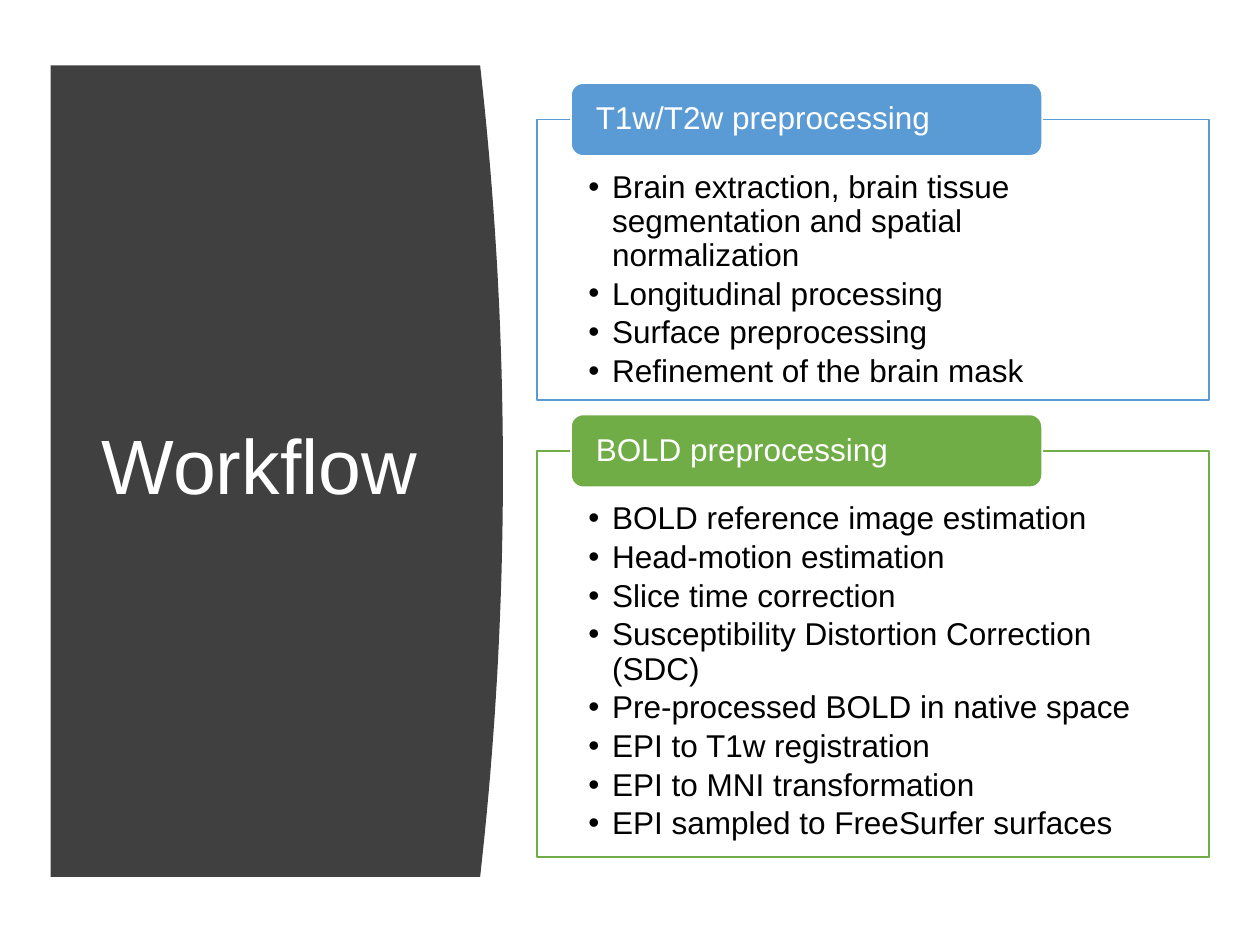
"""Build the Workflow slide: a curved title panel beside two framed lists."""
from dataclasses import dataclass

from lxml.etree import SubElement as Sub
from pptx import Presentation as Deck
from pptx.dml.color import RGBColor as Rgb
from pptx.enum.shapes import MSO_SHAPE as Kind
from pptx.enum.text import MSO_ANCHOR as Anchor, MSO_AUTO_SIZE as Fit, PP_ALIGN as Align
from pptx.oxml.ns import qn
from pptx.util import Cm, Pt


@dataclass(frozen=True)
class Theme:
    """Colours, font and type sizes."""
    dark: str = "404040"
    white: str = "FFFFFF"
    black: str = "000000"
    blue: str = "5B9BD5"
    green: str = "70AD47"
    font: str = "Arial"
    head: int = 44
    text: int = 18


def write(shape, lines, size, color, font, anchor=Anchor.MIDDLE, pad=None, after=0, hang=0):
    """Fill a shape with paragraphs, bulleted when a hanging indent is given."""
    frame = shape.text_frame
    frame.text = "\n".join(lines)
    frame.word_wrap, frame.auto_size = True, Fit.NONE
    frame.vertical_anchor = anchor
    if pad:
        (frame.margin_left, frame.margin_top,
         frame.margin_right, frame.margin_bottom) = map(Cm, pad)
    for para in frame.paragraphs:
        if hang:
            props = para._p.get_or_add_pPr()
            props.set("marL", str(Cm(hang)))
            props.set("indent", str(-Cm(hang)))
            Sub(props, qn("a:buFont"), typeface=font)
            Sub(props, qn("a:buChar"), char="•")
        para.alignment, para.line_spacing = Align.LEFT, 0.9
        para.space_before, para.space_after = Pt(0), Pt(after)
        para.font.name, para.font.size = font, Pt(size)
        para.font.color.rgb = Rgb.from_string(color)


class Page:
    """Holds the theme and the current slide."""

    def __init__(self, slide, theme):
        """Keep the slide and its style."""
        self.slide, self.theme = slide, theme

    def place(self, shape, left, top, width, height):
        """Move and size a shape in centimetres."""
        shape.left, shape.top = Cm(left), Cm(top)
        shape.width, shape.height = Cm(width), Cm(height)

    def paint(self, shape, fill, line=None):
        """Set a plain fill and a thin line or none."""
        shape.fill.solid()
        shape.fill.fore_color.rgb = Rgb.from_string(fill)
        if line:
            shape.line.color.rgb = Rgb.from_string(line)
            shape.line.width = Pt(1)
        else:
            shape.line.fill.background()

    def panel(self, left, top, width, height, bulge, steps=40):
        """Draw the dark panel with a bowed right edge behind all else."""
        edge = [(Cm(left + width + 4 * bulge * t * (1 - t)), Cm(top + height * t))
                for t in (i / steps for i in range(steps + 1))]
        tree = self.slide.shapes
        path = tree.build_freeform(Cm(left), Cm(top))
        path.add_line_segments(edge + [(Cm(left), Cm(top + height))], close=True)
        shape = path.convert_to_shape()
        shape.shadow.inherit = False
        self.paint(shape, self.theme.dark)
        tree._spTree.insert(2, shape._element)

    def title(self, text, *box):
        """Set the slide title."""
        shape, look = self.slide.shapes.title, self.theme
        self.place(shape, *box)
        write(shape, [text], look.head, look.white, look.font)

    def body(self, slot, lines, color, *box):
        """Set a framed list in a body placeholder."""
        shape, look = self.slide.placeholders[slot], self.theme
        self.place(shape, *box)
        self.paint(shape, look.white, color)
        tint = shape.fill._xPr.find(qn("a:solidFill"))[0]
        Sub(tint, qn("a:alpha"), val="90000")
        write(shape, lines, look.text, look.black, look.font, anchor=Anchor.TOP,
              pad=(1.04, 1.04, 1.04, 0.36), after=2.7, hang=0.48)

    def badge(self, text, color, *box):
        """Add a rounded heading over the top of a frame."""
        look = self.theme
        shape = self.slide.shapes.add_shape(Kind.ROUNDED_RECTANGLE, *map(Cm, box))
        shape.shadow.inherit = False
        self.paint(shape, color, look.white)
        write(shape, [text], look.text, look.white, look.font, pad=(0.43, 0, 0.43, 0))


def main():
    """Build and save the slide."""
    deck, look = Deck(), Theme()
    deck.slide_width, deck.slide_height = Cm(25.4), Cm(19.05)
    page = Page(deck.slides.add_slide(deck.slide_layouts[3]), look)
    page.panel(1.02, 1.32, 8.66, 16.36, bulge=0.46)
    page.title("Workflow", 1.8, 2.82, 7.11, 13.31)
    groups = [
        ("T1w/T2w preprocessing", look.blue, 5.66, [
            "Brain extraction, brain tissue segmentation and spatial normalization",
            "Longitudinal processing",
            "Surface preprocessing",
            "Refinement of the brain mask"]),
        ("BOLD preprocessing", look.green, 8.18, [
            "BOLD reference image estimation",
            "Head-motion estimation",
            "Slice time correction",
            "Susceptibility Distortion Correction (SDC)",
            "Pre-processed BOLD in native space",
            "EPI to T1w registration",
            "EPI to MNI transformation",
            "EPI sampled to FreeSurfer surfaces"]),
    ]
    top, gap, tall = 2.41, 1.02, 1.47
    for slot, (head, color, height, lines) in enumerate(groups, 1):
        page.body(slot, lines, color, 10.82, top, 13.56, height)
        page.badge(head, color, 11.51, top - tall / 2, 9.5, tall)
        top += height + gap
    deck.save("out.pptx")


if __name__ == "__main__":
    main()
